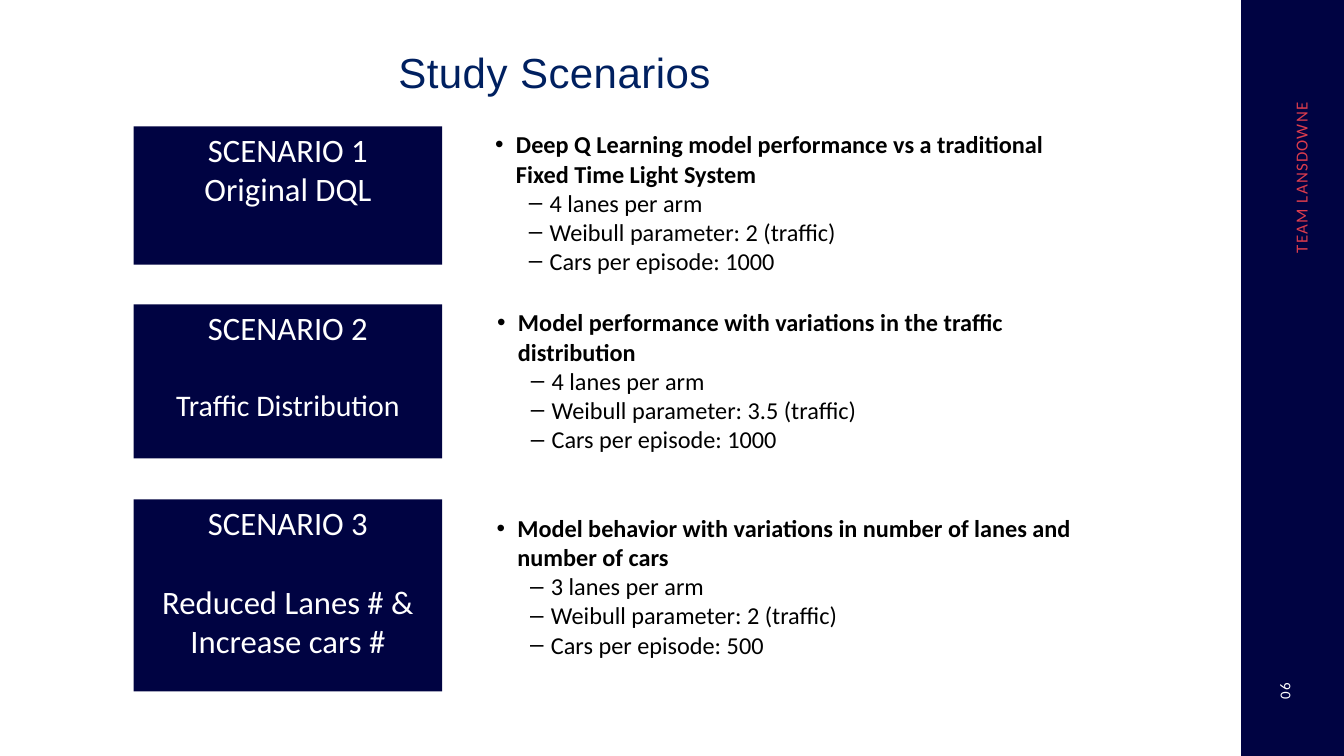
from pptx import Presentation
from pptx.dml.color import RGBColor
from pptx.enum import shapes, text
from pptx.oxml.ns import qn
from pptx.util import Inches, Pt
from lxml import etree

NAVY, WHITE, BLACK = "000342", "FFFFFF", "000000"
RED, TITLE_BLUE = "DC3C4D", "002060"

# Top, height and (text, size, space before) lines of each card
CARDS = [
    (1.88, 2.06, [("SCENARIO 1", 35, 0), ("Original DQL", 35, 0)]),
    (4.53, 2.29, [("SCENARIO 2", 35, 0), ("Traffic Distribution", 32, 43)]),
    (7.43, 2.86, [("SCENARIO 3", 35, 0), ("Reduced Lanes # &", 35, 43),
                  ("Increase cars #", 35, 0)]),
]

# Left, top, heading and details of each description
DESCRIPTIONS = [
    (7.27, 1.88,
     "Deep Q Learning model performance vs a traditional Fixed Time Light System",
     ["4 lanes per arm", "Weibull parameter: 2 (traffic)", "Cars per episode: 1000"]),
    (7.3, 4.53,
     "Model performance with variations in the traffic distribution",
     ["4 lanes per arm", "Weibull parameter: 3.5 (traffic)", "Cars per episode: 1000"]),
    (7.29, 7.59,
     "Model behavior with variations in number of lanes and number of cars",
     ["3 lanes per arm", "Weibull parameter: 2 (traffic)", "Cars per episode: 500"]),
]


def color(value):
    return RGBColor.from_string(value)


def add_span(para, words, size, fill, font="Calibri", bold=False, spacing=0):
    span = para.add_run()
    span.text = words
    span.font.name = font
    span.font.size = Pt(size)
    span.font.bold = bold
    span.font.color.rgb = color(fill)
    if spacing:
        span._r.get_or_add_rPr().set("spc", str(round(spacing * 100)))


def next_para(frame, index):
    return frame.add_paragraph() if index else frame.paragraphs[0]


def add_bullet(para, mark, left):
    props = para._p.get_or_add_pPr()
    props.set("marL", str(Inches(left)))
    props.set("indent", str(Inches(-0.31)))
    etree.SubElement(props, qn("a:buFont")).set("typeface", "Arial")
    etree.SubElement(props, qn("a:buChar")).set("char", mark)


def add_panel(page, left, top, width, height):
    panel = page.shapes.add_shape(shapes.MSO_SHAPE.RECTANGLE, Inches(left),
                                  Inches(top), Inches(width), Inches(height))
    panel.shadow.inherit = False
    panel.fill.solid()
    panel.fill.fore_color.rgb = color(NAVY)
    panel.line.fill.background()
    return panel


def add_box(page, left, top, width, height):
    box = page.shapes.add_textbox(Inches(left), Inches(top),
                                  Inches(width), Inches(height))
    box.text_frame.word_wrap = True
    return box


def add_label(page, place, words, align, line, rotation=0, inset=None, **style):
    box = add_box(page, *place)
    box.rotation = rotation
    frame = box.text_frame
    if inset is not None:
        frame.margin_left = frame.margin_right = Inches(inset)
        frame.margin_top = frame.margin_bottom = Inches(inset)
    para = frame.paragraphs[0]
    para.alignment = align
    para.line_spacing = Pt(line)
    add_span(para, words, **style)


def add_card(page, top, height, lines):
    frame = add_panel(page, 1.99, top, 4.59, height).text_frame
    frame.word_wrap = True
    frame.vertical_anchor = text.MSO_ANCHOR.TOP
    for index, (words, size, before) in enumerate(lines):
        para = next_para(frame, index)
        para.alignment = text.PP_ALIGN.CENTER
        if before:
            para.space_before = Pt(before)
        add_span(para, words, size, WHITE)


def add_description(page, left, top, heading, details):
    frame = add_box(page, left, top, 9.18, 2.29).text_frame
    for index, words in enumerate([heading, *details]):
        para = next_para(frame, index)
        if index:
            para.level = 1
            add_bullet(para, "–", 0.81)
        else:
            add_bullet(para, "•", 0.31)
        add_span(para, words, 26, BLACK, bold=index == 0)


def main():
    deck = Presentation()
    deck.slide_width, deck.slide_height = Inches(20), Inches(11.25)
    page = deck.slides.add_slide(deck.slide_layouts[6])

    # Scenario descriptions
    for description in DESCRIPTIONS:
        add_description(page, *description)

    # Side band with team name
    add_panel(page, 18.47, 0, 1.53, 11.25)
    add_label(page, (17.98, 2.6, 2.75, 0.41), "TEAM LANSDOWNE",
              text.PP_ALIGN.RIGHT, 22.4, rotation=270,
              size=18, fill=RED, spacing=1.3)

    # Scenario cards
    for card in CARDS:
        add_card(page, *card)

    # Title and page number
    add_label(page, (5.83, 0.66, 5.15, 0.85), "Study Scenarios",
              text.PP_ALIGN.LEFT, 53,
              size=45, fill=TITLE_BLUE, font="Arial", spacing=0.5)
    add_label(page, (18.34, 10.14, 1.49, 0.3), "06",
              text.PP_ALIGN.CENTER, 22.4, rotation=270, inset=0,
              size=16, fill=WHITE, spacing=1.3)

    deck.save("out.pptx")


if __name__ == "__main__":
    main()
